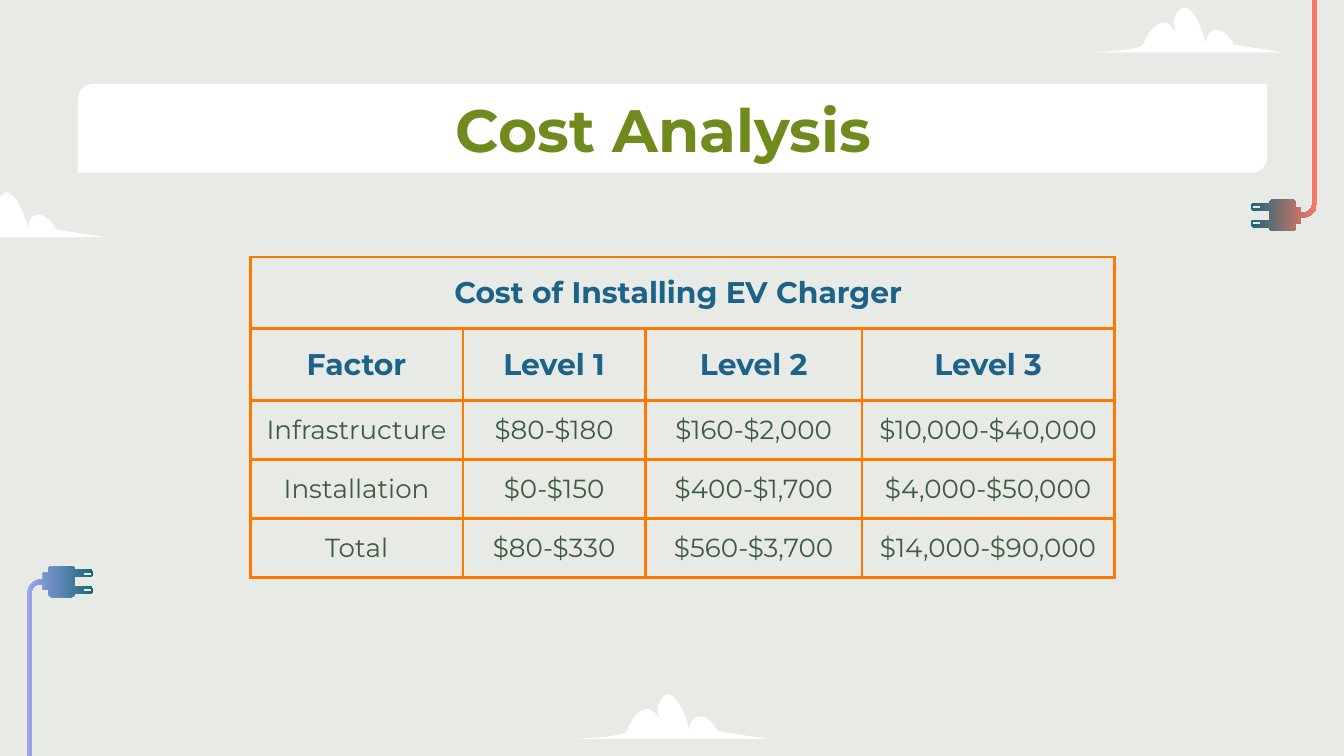
from dataclasses import dataclass

from lxml import etree
from pptx import Presentation
from pptx import util as u
from pptx.dml.color import RGBColor
from pptx.enum import shapes, text
from pptx.oxml import ns

Pt = u.Pt


@dataclass(frozen=True)
class Theme:
    font: str = "Montserrat"
    paper: str = "E8EBE5"
    white: str = "FFFFFF"
    olive: str = "718A1D"
    blue: str = "1D6289"
    green: str = "3F5A42"
    rule: str = "FF7800"
    teal: str = "1B667A"
    coral: str = "FD7964"
    lilac: str = "9DA6EC"
    title: float = 32
    head: float = 16
    body: float = 14


CLOUD = [
    (48, 0), (55, 0, 60, 20, 60, 20), (60, 20, 59, 13, 65, 12),
    (71, 12, 75, 20, 75, 20), (101, 24), (0, 24),
    (0, 24, 24.5, 23, 26, 20), (27.5, 18, 30, 9, 37, 8),
    (40, 8, 42, 11, 44, 14), (42, 9, 42, 4, 47, 0.5),
]
SLOTS = [[(1, y), (5.4, y), (5.4, y + 1.4), (1, y + 1.4)] for y in (3.2, 11.8)]


def outline(cord):
    return [
        (0, 4), (0, 5, 1, 6, 2, 6), (10, 6), (10, 11), (2, 11),
        (0, 11, 0, 12, 0, 13), (0, 14, 1, 15, 2, 15), (10, 15),
        (10, 16, 11, 17, 12, 17), (22, 17), (23, 17, 24, 16, 24, 15),
        (24, 13), (27, 13), (27, 9.5), (28, 9.5),
        (32, 9.5, 35.5, 6, 35.5, 2), (35.5, -cord), (33, -cord), (33, 2),
        (33, 5, 31, 7, 28, 7), (27, 7), (27, 4), (24, 4), (24, 2),
        (24, 1, 23, 0, 22, 0), (12, 0), (11, 0, 10, 1, 10, 2), (2, 2),
        (0, 2, 0, 3, 0, 4),
    ]


def trace(curve, steps=10):
    pts = [curve[0]]
    for seg in curve[1:]:
        if len(seg) == 2:
            pts.append(seg)
            continue
        ends = [pts[-1], seg[:2], seg[2:4], seg[4:]]
        for i in range(1, steps + 1):
            t = i / steps
            mix = ((1 - t) ** 3, 3 * t * (1 - t) ** 2, 3 * t * t * (1 - t), t ** 3)
            pts.append(tuple(sum(m * e[k] for m, e in zip(mix, ends)) for k in (0, 1)))
    return pts


class Deck:
    """Draws styled elements on the current slide."""

    def __init__(self, theme):
        self.theme = theme
        self.prs = Presentation()
        self.prs.slide_width, self.prs.slide_height = Pt(720), Pt(405)
        self.slide = self.prs.slides.add_slide(self.prs.slide_layouts[6])
        self.paint(self.slide.background.fill, theme.paper)

    def paint(self, fill, color):
        fill.solid()
        fill.fore_color.rgb = RGBColor.from_string(color)

    def plain(self, shape):
        shape.shadow.inherit = False
        shape.line.fill.background()

    def free(self, curves, x, y, sign=1):
        rings = [
            [(Pt(x + sign * a), Pt(y + sign * b)) for a, b in trace(curve)]
            for curve in curves
        ]
        pen = self.slide.shapes.build_freeform(*rings[0][0])
        pen.add_line_segments(rings[0][1:])
        for ring in rings[1:]:
            pen.move_to(*ring[0])
            pen.add_line_segments(ring[1:])
        shape = pen.convert_to_shape()
        self.plain(shape)
        return shape

    def cloud(self, x, y):
        self.paint(self.free([CLOUD], x, y).fill, self.theme.white)

    def plug(self, x, y, cord, colors, sign=1):
        fill = self.free([outline(cord)] + SLOTS, x, y, sign).fill
        fill.gradient()
        fill.gradient_angle = 0
        for stop, color in zip(fill.gradient_stops, colors):
            stop.color.rgb = RGBColor.from_string(color)

    def panel(self, x, y, w, h):
        kind = shapes.MSO_SHAPE.ROUND_2_DIAG_RECTANGLE
        shape = self.slide.shapes.add_shape(kind, Pt(x), Pt(y), Pt(w), Pt(h))
        shape.adjustments[0], shape.adjustments[1] = 0.17, 0
        self.paint(shape.fill, self.theme.white)
        self.plain(shape)

    def label(self, frame, words, size, color, bold):
        frame.text = words
        para = frame.paragraphs[0]
        para.alignment = text.PP_ALIGN.CENTER
        font = para.runs[0].font
        font.name, font.size, font.bold = self.theme.font, Pt(size), bold
        font.color.rgb = RGBColor.from_string(color)

    def title(self, words, x, y, w, h):
        frame = self.slide.shapes.add_textbox(Pt(x), Pt(y), Pt(w), Pt(h)).text_frame
        frame.word_wrap = True
        frame.margin_left = frame.margin_right = Pt(7.2)
        frame.margin_top = frame.margin_bottom = Pt(7.2)
        self.label(frame, words, self.theme.title, self.theme.olive, True)

    def border(self, cell):
        props = cell._tc.get_or_add_tcPr()
        for i, side in enumerate("LRTB"):
            line = etree.Element(ns.qn("a:ln" + side), w=str(Pt(1.5)))
            fill = etree.SubElement(line, ns.qn("a:solidFill"))
            etree.SubElement(fill, ns.qn("a:srgbClr"), val=self.theme.rule)
            props.insert(i, line)

    def table(self, x, y, cols, rows, data):
        table = self.slide.shapes.add_table(
            len(rows), len(cols), Pt(x), Pt(y), Pt(sum(cols)), Pt(sum(rows))
        ).table
        table.first_row = table.horz_banding = False
        for col, width in zip(table.columns, cols):
            col.width = Pt(width)
        for i, (row, height) in enumerate(zip(table.rows, rows)):
            row.height = Pt(height)
            head = i < 2
            style = (
                (self.theme.head, self.theme.blue, True) if head
                else (self.theme.body, self.theme.green, False)
            )
            for j, cell in enumerate(row.cells):
                pad = Pt(9.4 if head else 7.2)
                cell.margin_left = cell.margin_right = pad
                cell.margin_top = cell.margin_bottom = pad
                if head:
                    cell.vertical_anchor = text.MSO_ANCHOR.MIDDLE
                self.paint(cell.fill, self.theme.paper)
                self.border(cell)
                if j < len(data[i]):
                    self.label(cell.text_frame, data[i][j], *style)
        table.cell(0, 0).merge(table.cell(0, len(cols) - 1))


def main():
    look = Theme()
    deck = Deck(look)
    deck.plug(670, 107, 107, (look.teal, look.coral))
    deck.plug(50, 320, 85, (look.lilac, look.teal), sign=-1)
    for spot in ((309.6, 371.8), (586.2, 4), (-44.8, 103)):
        deck.cloud(*spot)
    deck.panel(41.8, 45, 637, 47.5)
    deck.title("Cost Analysis ", 56.2, 42.5, 607.6, 45.4)
    deck.table(134.2, 137.6, (113.7, 98, 115.8, 135.4), [38.5] * 2 + [31.6] * 3, [
        ["Cost of Installing EV Charger "],
        ["Factor", "Level 1", "Level 2", "Level 3"],
        ["Infrastructure", "$80-$180", "$160-$2,000", "$10,000-$40,000"],
        ["Installation", "$0-$150", "$400-$1,700", "$4,000-$50,000"],
        ["Total", "$80-$330", "$560-$3,700", "$14,000-$90,000"],
    ])
    deck.prs.save("out.pptx")


if __name__ == "__main__":
    main()
